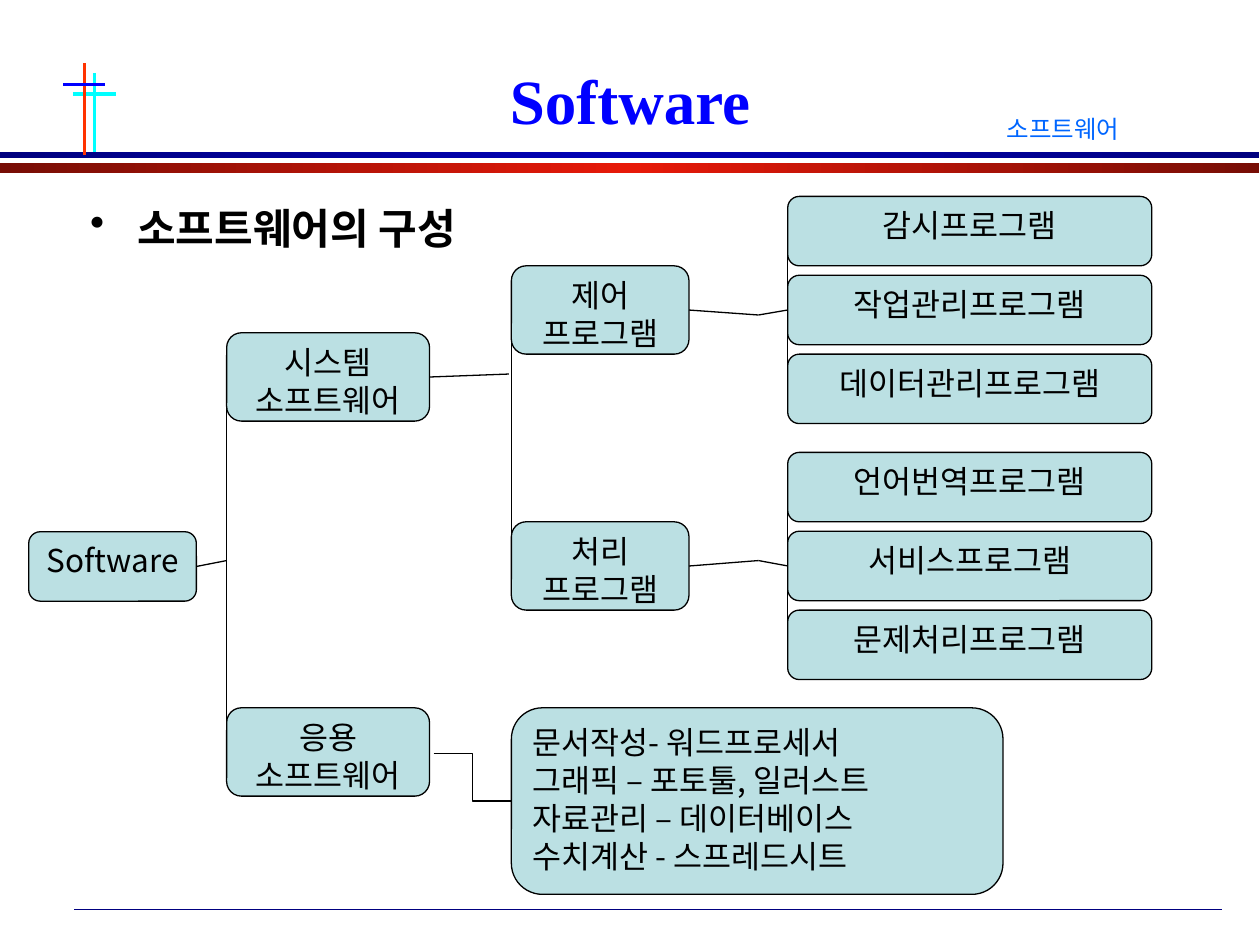
from copy import deepcopy
from dataclasses import dataclass
from lxml.etree import SubElement
from pptx import Presentation
from pptx.dml.color import RGBColor
from pptx.enum.shapes import MSO_CONNECTOR, MSO_SHAPE
from pptx.enum.text import MSO_ANCHOR, PP_ALIGN
from pptx.oxml.ns import qn
from pptx.util import Cm, Pt

SANS, SERIF = "Noto Sans CJK KR", "Times New Roman"
BLACK, PALE = "000000", "BBE0E3"


@dataclass
class Node:
    text: str
    x: float
    y: float
    w: float
    h: float
    align: PP_ALIGN = PP_ALIGN.CENTER


@dataclass
class Rule:
    ends: tuple
    color: str = BLACK
    width: float = 0.75


@dataclass
class Band:
    y: float
    h: float
    edge: str
    mid: str


def paint(target, color: str) -> None:
    target.rgb = RGBColor.from_string(color)


def write(frame, text: str, size: float, color: str = BLACK, face: str = SANS,
          bold: bool = False, align: PP_ALIGN = PP_ALIGN.LEFT) -> None:
    style = {"size": Pt(size), "name": face, "bold": bold}
    for i, line in enumerate(text.split("\n")):
        para = frame.paragraphs[0] if i == 0 else frame.add_paragraph()
        para.alignment = align
        run = para.add_run()
        run.text = line
        for key, value in style.items():
            setattr(run.font, key, value)
        paint(run.font.color, color)
        SubElement(run.font._element, qn("a:ea"), typeface=face)


def label(slide, box: tuple, text: str, size: float, **look):
    frame = slide.shapes.add_textbox(*map(Cm, box)).text_frame
    frame.word_wrap = True
    write(frame, text, size, **look)
    return frame


def draw_node(slide, node: Node):
    shape = slide.shapes.add_shape(
        MSO_SHAPE.ROUNDED_RECTANGLE, *map(Cm, (node.x, node.y, node.w, node.h)))
    shape.shadow.inherit = False
    shape.fill.solid()
    paint(shape.fill.fore_color, PALE)
    paint(shape.line.color, BLACK)
    shape.line.width = Pt(0.75)
    shape.text_frame.vertical_anchor = MSO_ANCHOR.TOP
    write(shape.text_frame, node.text, 18, align=node.align)
    return shape


def draw_rule(slide, rule: Rule, kind=MSO_CONNECTOR.STRAIGHT):
    line = slide.shapes.add_connector(kind, *map(Cm, rule.ends))
    paint(line.line.color, rule.color)
    line.line.width = Pt(rule.width)
    SubElement(line._element.spPr, qn("a:effectLst"))
    return line


def draw_band(slide, band: Band) -> None:
    shape = slide.shapes.add_shape(
        MSO_SHAPE.RECTANGLE, 0, Cm(band.y), Cm(25.38), Cm(band.h))
    shape.shadow.inherit = False
    shape.line.fill.background()
    shape.fill.gradient()
    shape.fill.gradient_angle = 0
    stops = shape._element.spPr.find(".//" + qn("a:gsLst"))
    stops.append(deepcopy(stops[-1]))
    colors = (band.edge, band.mid, band.edge)
    for i, (stop, color) in enumerate(zip(shape.fill.gradient_stops, colors)):
        stop.position = i / 2
        paint(stop.color, color)


def join(slide, first, last, sides: tuple) -> None:
    line = draw_rule(slide, Rule((0, 0, 0, 0)))
    line.begin_connect(first, sides[0])
    line.end_connect(last, sides[1])


def main() -> None:
    deck = Presentation()
    deck.slide_width, deck.slide_height = Cm(25.4), Cm(19.05)
    slide = deck.slides.add_slide(deck.slide_layouts[5])

    # Header and footer decoration
    for rule in (Rule((1.5, 18.34, 24.64, 18.34), "000080"),
                 Rule((1.47, 1.9, 2.34, 1.9), "00FFFF", 2),
                 Rule((1.9, 1.47, 1.9, 3.18), "00FFFF", 1.75)):
        draw_rule(slide, rule)
    draw_band(slide, Band(3.07, 0.11, "00007F", "0000B6"))
    draw_band(slide, Band(3.28, 0.2, "770D05", "E71909"))
    draw_rule(slide, Rule((1.7, 1.27, 1.7, 3.12), "FF3300", 1.75))
    draw_rule(slide, Rule((1.27, 1.7, 2.11, 1.7), "0000FF", 2))

    # Title, topic and bulleted heading
    title = slide.shapes.title
    spot = {"left": 3.91, "top": 1.27, "width": 17.58, "height": 1.47}
    for key, value in spot.items():
        setattr(title, key, Cm(value))
    title.text_frame.vertical_anchor = MSO_ANCHOR.MIDDLE
    write(title.text_frame, "Software", 36, "0000FF", SERIF, True, PP_ALIGN.CENTER)
    label(slide, (20.04, 2.18, 5.16, 0.86), "소프트웨어", 14, color="0066FF")
    head = label(slide, (1.57, 3.96, 23.22, 1.3), "소프트웨어의 구성", 24, bold=True)
    props = head.paragraphs[0]._p.get_or_add_pPr()
    props.set("marL", str(Cm(0.95)))
    props.set("indent", str(-Cm(0.95)))
    SubElement(props, qn("a:buChar"), char="•")

    # Tree boxes
    root = draw_node(slide, Node("Software", 0.58, 10.72, 3.38, 1.4))
    system, apps = [draw_node(slide, Node(f"{name}\n소프트웨어", 4.57, y, 4.09, 1.78))
                    for name, y in (("시스템", 6.71), ("응용", 14.27))]
    control, process = [draw_node(slide, Node(f"{name}\n프로그램", 10.31, y, 3.58, 1.78))
                        for name, y in (("제어", 5.36), ("처리", 10.52))]
    groups = [
        [draw_node(slide, Node(f"{name}프로그램", 15.88, y + 1.59 * i, 7.34, 1.4))
         for i, name in enumerate(names)]
        for y, names in ((3.96, ("감시", "작업관리", "데이터관리")),
                         (9.12, ("언어번역", "서비스", "문제처리")))]
    uses = draw_node(slide, Node(
        "문서작성- 워드프로세서\n그래픽 – 포토툴, 일러스트\n"
        "자료관리 – 데이터베이스\n수치계산 - 스프레드시트",
        10.31, 14.27, 9.91, 3.76, PP_ALIGN.LEFT))

    # Vertical trunks along the left sides of sibling boxes
    for first, last in ((system, apps), (control, process),
                        *((group[0], group[-1]) for group in groups)):
        join(slide, first, last, (1, 1))

    # Branches from parent to trunk
    draw_rule(slide, Rule((3.96, 11.42, 4.57, 11.3))).begin_connect(root, 3)
    draw_rule(slide, Rule((8.66, 7.6, 10.26, 7.54))).begin_connect(system, 3)
    for parent, group, y in zip((control, process), groups, (6.35, 11.3)):
        draw_rule(slide, Rule((13.89, y, 15.29, y))).begin_connect(parent, 3)
        draw_rule(slide, Rule((15.29, y, 15.88, y))).end_connect(group[1], 1)
    elbow = draw_rule(slide, Rule((8.74, 15.19, 10.31, 16.15)), MSO_CONNECTOR.ELBOW)
    elbow.end_connect(uses, 1)

    deck.save("out.pptx")


if __name__ == "__main__":
    main()
